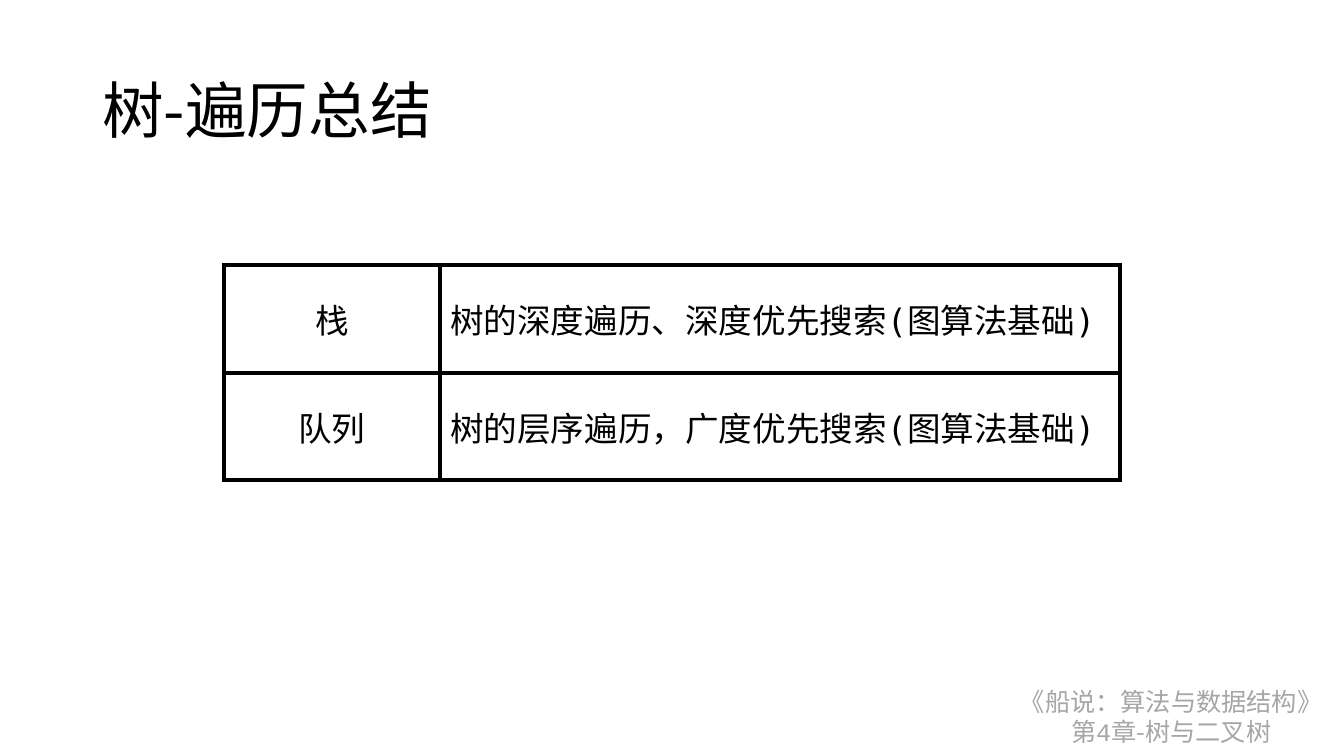
from lxml.etree import SubElement
from pptx import Presentation
from pptx.dml.color import RGBColor
from pptx.enum.text import MSO_ANCHOR, MSO_AUTO_SIZE, PP_ALIGN
from pptx.oxml import parse_xml
from pptx.oxml.ns import nsdecls, qn
from pptx.util import Pt

BLACK = RGBColor(0x00, 0x00, 0x00)
GRAY = RGBColor(0xA6, 0xA6, 0xA6)
CJK_FONT = "Noto Sans CJK SC"
MONO_FONT = "DejaVu Sans Mono"
DIGIT_FONT = "Courier New"

TABLE_ROWS = [
    ("栈", "树的深度遍历、深度优先搜索"),
    ("队列", "树的层序遍历，广度优先搜索"),
]
COLUMN_WIDTHS = (Pt(154.3), Pt(485.8))
ROW_HEIGHT = Pt(76.8)
BORDER_WIDTH = Pt(3)


def write_runs(paragraph, pieces, size, color):
    """Add (text, font name) pieces as runs, for Latin and East Asian text alike."""
    for text, font_name in pieces:
        run = paragraph.add_run()
        run.text = text
        run.font.name = font_name
        run.font.size = size
        run.font.color.rgb = color
        SubElement(run.font._element, qn("a:ea"), typeface=font_name)


def add_title(slide):
    title = slide.shapes.add_textbox(Pt(66), Pt(28.8), Pt(828), Pt(104.4))
    text_frame = title.text_frame
    text_frame.word_wrap = True
    text_frame.vertical_anchor = MSO_ANCHOR.MIDDLE
    paragraph = text_frame.paragraphs[0]
    paragraph.line_spacing = 0.9
    write_runs(paragraph, [("树-遍历总结", CJK_FONT)], Pt(44), BLACK)


def add_chapter_label(slide):
    label = slide.shapes.add_textbox(Pt(717.8), Pt(486.7), Pt(237.6), Pt(51))
    text_frame = label.text_frame
    text_frame.word_wrap = False
    text_frame.auto_size = MSO_AUTO_SIZE.SHAPE_TO_FIT_TEXT
    book = text_frame.paragraphs[0]
    chapter = text_frame.add_paragraph()
    book.alignment = chapter.alignment = PP_ALIGN.CENTER
    write_runs(book, [("《船说：算法与数据结构》", CJK_FONT)], Pt(18), GRAY)
    chapter_pieces = [("第", CJK_FONT), ("4", DIGIT_FONT), ("章-树与二叉树", CJK_FONT)]
    write_runs(chapter, chapter_pieces, Pt(18), GRAY)


def set_borders(cell):
    properties = cell._tc.get_or_add_tcPr()
    for index, side in enumerate(("lnL", "lnR", "lnT", "lnB")):
        border = parse_xml(
            f'<a:{side} {nsdecls("a")} w="{BORDER_WIDTH}"><a:solidFill>'
            f'<a:srgbClr val="{BLACK}"/></a:solidFill></a:{side}>'
        )
        properties.insert(index, border)


def fill_cell(cell, pieces, alignment):
    cell.fill.background()
    set_borders(cell)
    cell.vertical_anchor = MSO_ANCHOR.MIDDLE
    paragraph = cell.text_frame.paragraphs[0]
    paragraph.alignment = alignment
    write_runs(paragraph, pieces, Pt(24), BLACK)


def add_traversal_table(slide):
    frame = slide.shapes.add_table(
        len(TABLE_ROWS), len(COLUMN_WIDTHS), Pt(160), Pt(189.4),
        sum(COLUMN_WIDTHS), ROW_HEIGHT * len(TABLE_ROWS),
    )
    table = frame.table
    table.first_row = False
    table.horz_banding = False
    for column, width in zip(table.columns, COLUMN_WIDTHS):
        column.width = width
    for row, (structure, uses) in zip(table.rows, TABLE_ROWS):
        row.height = ROW_HEIGHT
        use_pieces = [
            (uses, CJK_FONT), ("(", MONO_FONT), ("图算法基础", CJK_FONT), (")", MONO_FONT),
        ]
        fill_cell(row.cells[0], [(structure, CJK_FONT)], PP_ALIGN.CENTER)
        fill_cell(row.cells[1], use_pieces, PP_ALIGN.LEFT)


def main():
    presentation = Presentation()
    presentation.slide_width = Pt(960)
    presentation.slide_height = Pt(540)
    slide = presentation.slides.add_slide(presentation.slide_layouts[6])
    add_chapter_label(slide)
    add_title(slide)
    add_traversal_table(slide)
    presentation.save("out.pptx")


if __name__ == "__main__":
    main()
